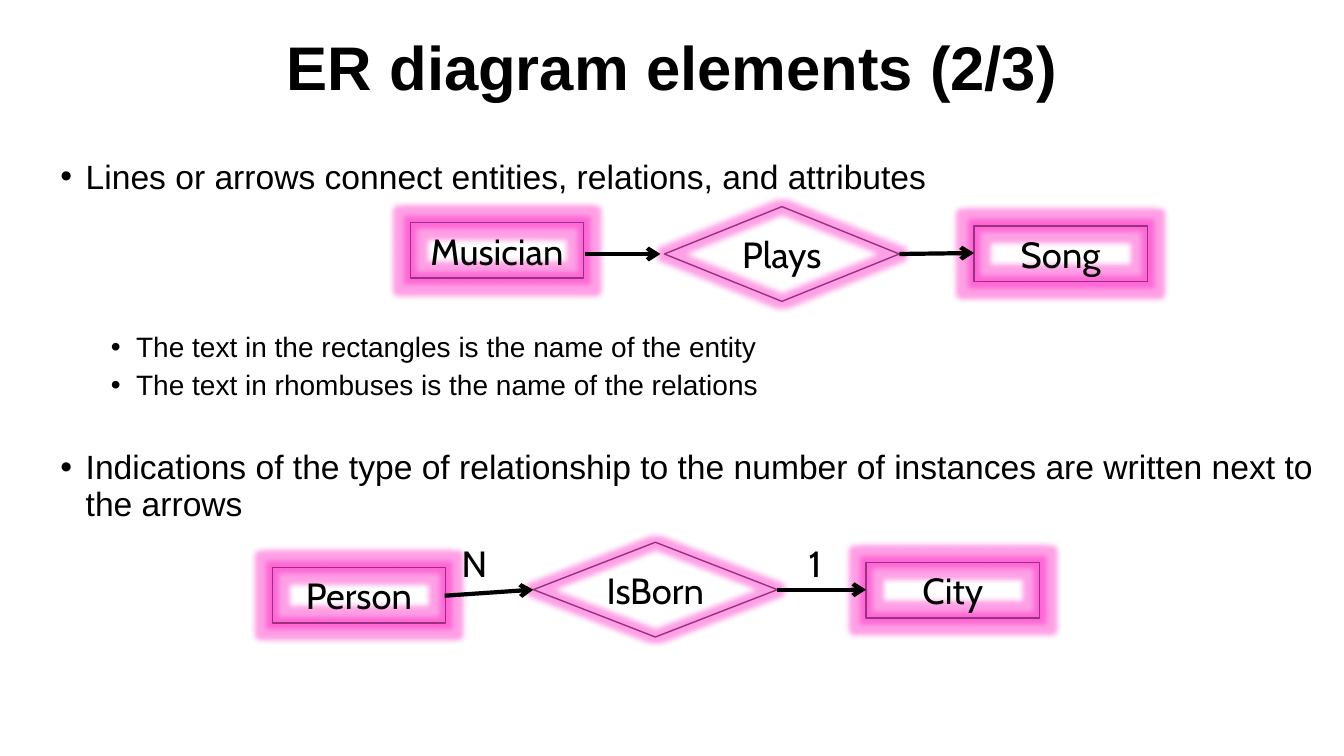
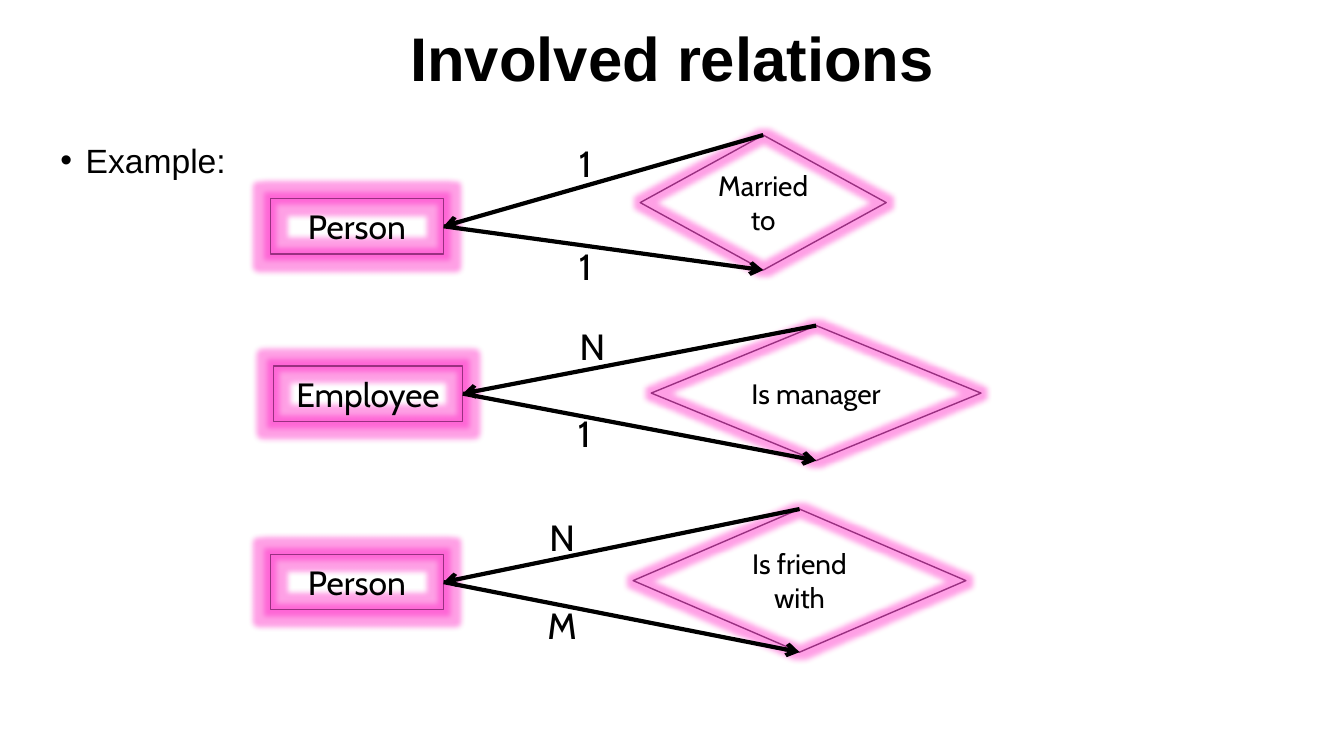
from lxml.etree import SubElement
from pptx import Presentation
from pptx.dml.color import RGBColor
from pptx.enum.shapes import MSO_CONNECTOR, MSO_SHAPE
from pptx.enum.text import MSO_ANCHOR, MSO_AUTO_SIZE, PP_ALIGN
from pptx.oxml.ns import qn
from pptx.util import Inches, Pt

BLACK = RGBColor(0x00, 0x00, 0x00)
PURPLE = RGBColor(0x99, 0x30, 0x80)
PINK = RGBColor(0xFF, 0x11, 0xC0)

TITLE_FORMAT = {"name": "Arial", "size": Pt(44), "bold": True}
BODY_FORMATS = [{"name": "Arial", "size": Pt(24)}, {"name": "Arial", "size": Pt(20)}]
LABEL_FORMAT = {"name": "Cabin", "size": Pt(26)}
FRAME_FORMAT = {"word_wrap": True, "auto_size": MSO_AUTO_SIZE.NONE}
NO_MARGINS = {"margin_left": 0, "margin_right": 0, "margin_top": 0, "margin_bottom": 0}

deck = Presentation()
deck.slide_width, deck.slide_height = Inches(13.33), Inches(7.5)
COLUMN = deck.slide_width / 13.33
ROW = deck.slide_height / 7.5
ENTITY_WIDTH, ENTITY_HEIGHT = 1.72, 0.55
LABEL_WIDTH, LABEL_HEIGHT = 0.47, 0.39
BODY_BOTTOM = 6.7
GLOW_RADIUS = Pt(8)


def grid(*lengths):
    return [round(length * (ROW if index % 2 else COLUMN)) for index, length in enumerate(lengths)]


def write(paragraph, text, formats, alignment=None):
    paragraph.alignment = alignment
    span = paragraph.add_run()
    span.text = text
    span.font.color.rgb = BLACK
    for attribute, value in formats.items():
        setattr(span.font, attribute, value)


flow_entities = [
    ("Person", 2.7, 5.63, ENTITY_WIDTH), ("Song", 9.66, 2.24, ENTITY_WIDTH),
    ("Musician", 4.07, 2.21, ENTITY_WIDTH), ("City", 8.59, 5.58, ENTITY_WIDTH),
]
flow_relations = [("IsBorn", 5.29, 5.38, 2.42, 0.94), ("Plays", 6.59, 2.05, 2.33, 0.94)]
flow_arrows = [
    (5.8, 2.52, 6.55, 2.52), (7.71, 5.85, 8.59, 5.85),
    (4.41, 5.91, 5.29, 5.85), (8.92, 2.52, 9.66, 2.51),
]
loop_entities = [
    ("Person", 2.68, 1.97, ENTITY_WIDTH), ("Employee", 2.71, 3.63, 1.88),
    ("Person", 2.68, 5.5, ENTITY_WIDTH),
]
loop_relations = [
    ("Married to", 6.35, 1.34, 2.44, 1.34), ("Is manager", 6.46, 3.23, 3.27, 1.34),
    ("Is friend with", 6.28, 5.05, 3.3, 1.42),
]
loop_arrows = []
for entity, relation in zip(loop_entities, loop_relations):
    _, entity_left, entity_top, entity_width = entity
    _, left, top, width, height = relation
    side = (entity_left + entity_width, entity_top + ENTITY_HEIGHT / 2)
    middle = left + width / 2
    loop_arrows += [(*side, middle, top + height), (middle, top, *side)]

pages = [
    {
        "title": "ER diagram elements (2/3)", "title_height": 1.39, "body_top": 1.54,
        "bullets": [
            (0, 0, "Lines or arrows connect entities, relations, and attributes"),
            (1, 97.5, "The text in the rectangles is the name of the entity"),
            (1, 5.5, "The text in rhombuses is the name of the relations"),
            (0, 35.5, "Indications of the type of relationship to the number of instances "
                      "are written next to the arrows"),
        ],
        "entities": flow_entities, "entity_size": 26,
        "relations": flow_relations, "relation_size": 26,
        "labels": [("N", 4.47, 5.39), ("1", 7.85, 5.39)],
        "arrows": flow_arrows,
    },
    {
        "title": "Involved relations", "title_height": 1.23, "body_top": 1.38,
        "bullets": [(0, 0, "Example:")],
        "entities": loop_entities, "entity_size": 24,
        "relations": loop_relations, "relation_size": 20,
        "labels": [
            ("1", 5.57, 1.42), ("1", 5.57, 2.44), ("N", 5.64, 3.24),
            ("1", 5.56, 4.1), ("N", 5.34, 5.13), ("M", 5.34, 6),
        ],
        "arrows": loop_arrows,
    },
]

for content in pages:
    page = deck.slides.add_slide(deck.slide_layouts[1])
    title, body = page.placeholders
    title.left, title.top, title.width, title.height = grid(1.67, 0, 10, content["title_height"])
    body_top = content["body_top"]
    body.left, body.top, body.width, body.height = grid(0, body_top, 13.33, BODY_BOTTOM - body_top)
    for box, anchor in ((title, MSO_ANCHOR.MIDDLE), (body, MSO_ANCHOR.TOP)):
        box.text_frame.vertical_anchor = anchor
        for attribute, value in FRAME_FORMAT.items():
            setattr(box.text_frame, attribute, value)

    heading = title.text_frame.paragraphs[0]
    heading.line_spacing = 0.9
    write(heading, content["title"], TITLE_FORMAT, PP_ALIGN.CENTER)

    for index, (level, space, text) in enumerate(content["bullets"]):
        paragraph = body.text_frame.add_paragraph() if index else body.text_frame.paragraphs[0]
        properties = paragraph._p.get_or_add_pPr()
        properties.set("marL", str(Inches(0.75 + 0.5 * level)))
        properties.set("indent", str(Inches(-0.25)))
        SubElement(properties, qn("a:buFont"), typeface="Arial")
        SubElement(properties, qn("a:buChar"), char="•")
        paragraph.level = level
        paragraph.line_spacing = 0.9
        paragraph.space_before = Pt(space)
        write(paragraph, text, BODY_FORMATS[level], PP_ALIGN.LEFT)

    nodes = [
        (MSO_SHAPE.RECTANGLE, text, (left, top, width, ENTITY_HEIGHT), content["entity_size"])
        for text, left, top, width in content["entities"]
    ] + [
        (MSO_SHAPE.FLOWCHART_DECISION, text, place, content["relation_size"])
        for text, *place in content["relations"]
    ]
    for kind, text, place, size in nodes:
        node = page.shapes.add_shape(kind, *grid(*place))
        node.fill.background()
        node.line.color.rgb = PURPLE
        node.line.width = Pt(1)
        node.shadow.inherit = False
        effects = node._element.spPr.find(qn("a:effectLst"))
        glow = SubElement(effects, qn("a:glow"), rad=str(GLOW_RADIUS))
        colour = SubElement(glow, qn("a:srgbClr"), val=str(PINK))
        SubElement(colour, qn("a:alpha"), val="40000")
        node.text_frame.word_wrap = True
        node.text_frame.vertical_anchor = MSO_ANCHOR.MIDDLE
        write(node.text_frame.paragraphs[0], text, LABEL_FORMAT | {"size": Pt(size)}, PP_ALIGN.CENTER)

    for text, left, top in content["labels"]:
        label = page.shapes.add_textbox(*grid(left, top, LABEL_WIDTH, LABEL_HEIGHT))
        label.text_frame.vertical_anchor = MSO_ANCHOR.MIDDLE
        for attribute, value in (FRAME_FORMAT | NO_MARGINS).items():
            setattr(label.text_frame, attribute, value)
        write(label.text_frame.paragraphs[0], text, LABEL_FORMAT, PP_ALIGN.CENTER)

    for ends in content["arrows"]:
        arrow = page.shapes.add_connector(MSO_CONNECTOR.STRAIGHT, *grid(*ends))
        arrow.line.color.rgb = BLACK
        arrow.line.width = Pt(3)
        SubElement(arrow.line._get_or_add_ln(), qn("a:tailEnd"), type="arrow")
        SubElement(arrow._element.spPr, qn("a:effectLst"))

deck.save("out.pptx")
